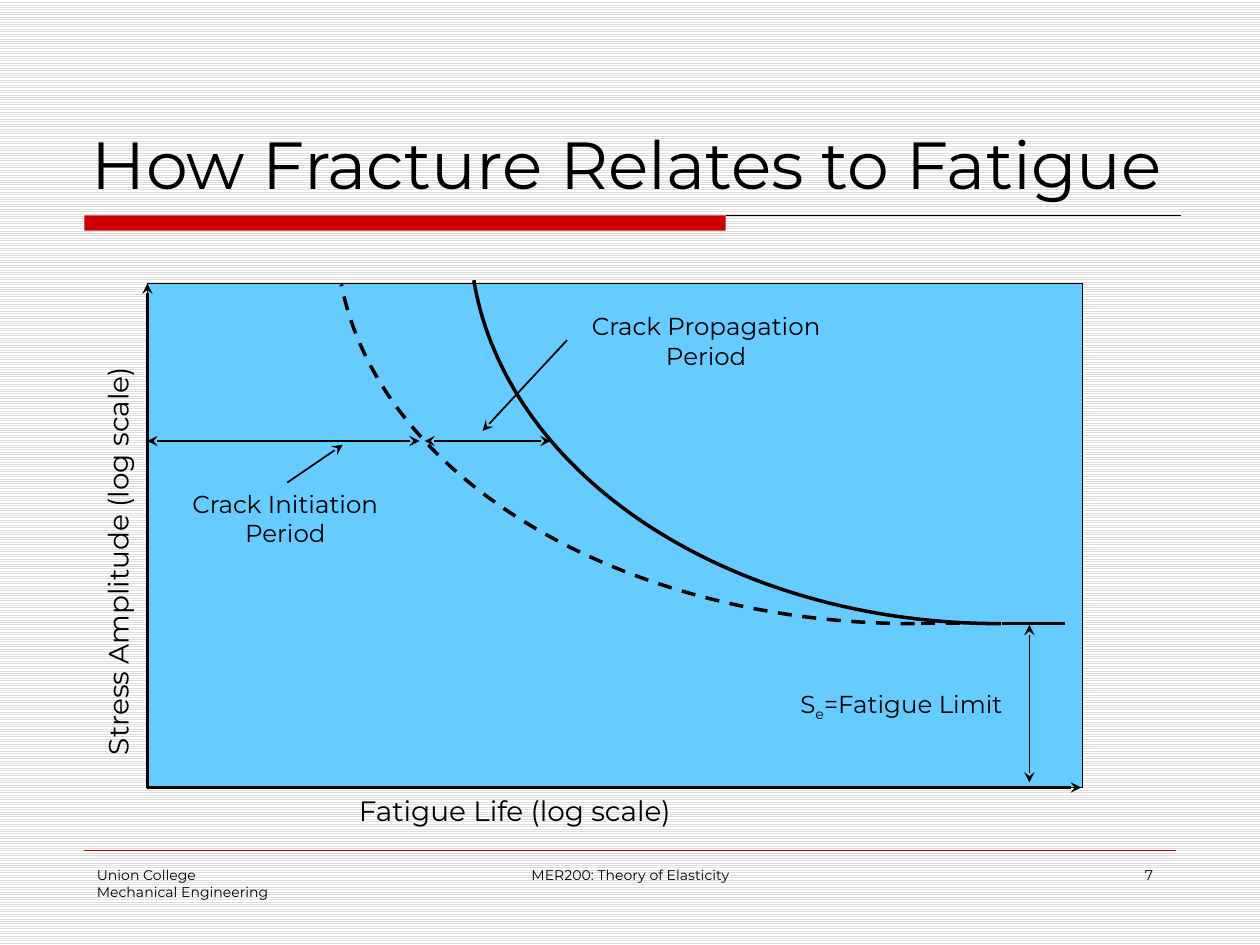
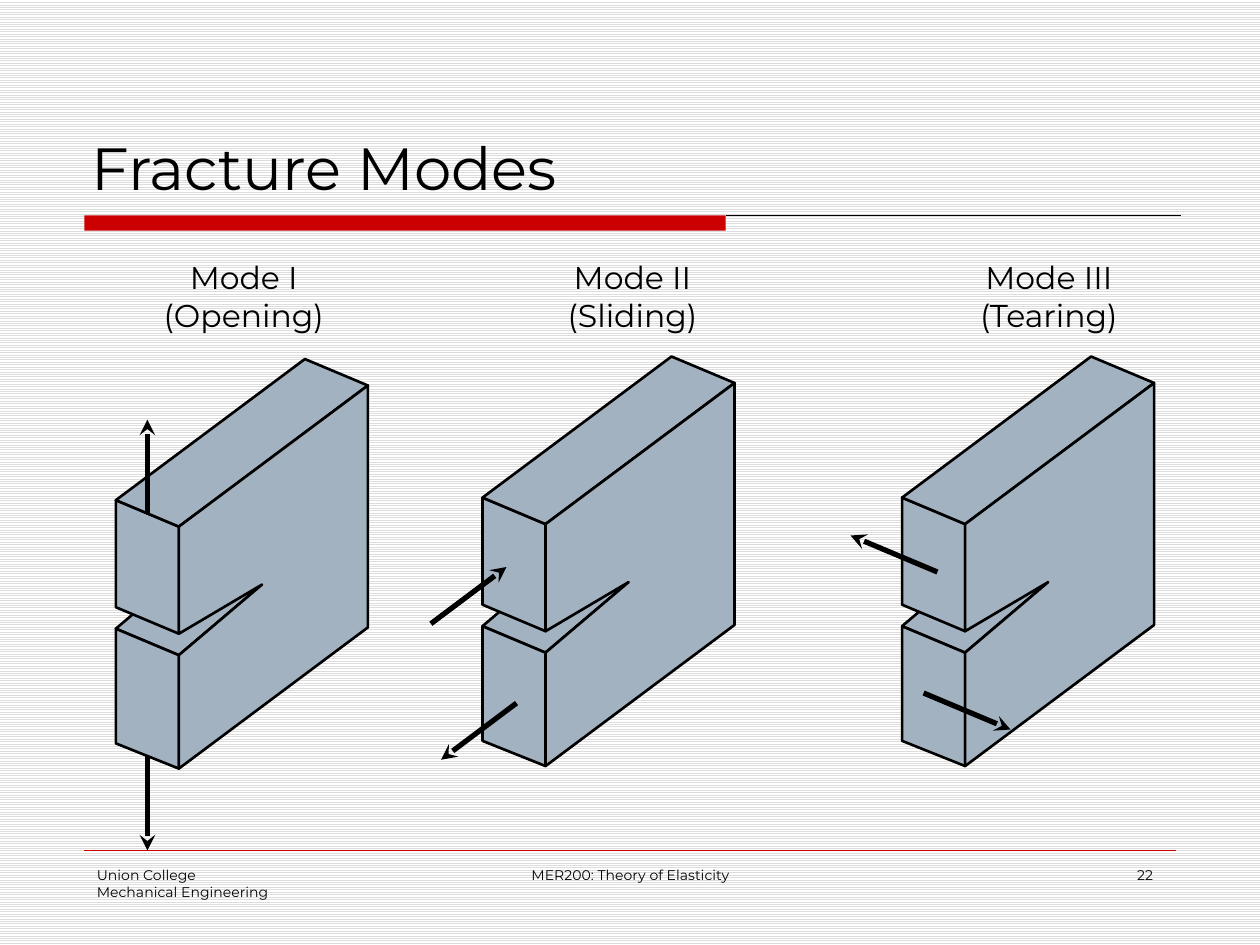
from dataclasses import dataclass

from lxml import etree
from pptx import Presentation
from pptx import util as u
from pptx.dml.color import RGBColor
from pptx.enum import dml, shapes, text
from pptx.oxml.ns import qn


@dataclass(frozen=True)
class Theme:
    font: str = "Montserrat"
    ink: RGBColor = RGBColor(0x00, 0x00, 0x00)
    red: RGBColor = RGBColor(0xCC, 0x00, 0x00)
    paper: RGBColor = RGBColor(0xFF, 0xFF, 0xFF)
    stripe: RGBColor = RGBColor(0xDD, 0xDD, 0xDD)
    plot: RGBColor = RGBColor(0x66, 0xCC, 0xFF)
    steel: RGBColor = RGBColor(0xA3, 0xB2, 0xC1)
    footer_size: int = 8
    label_size: int = 14
    axis_size: int = 16
    mode_size: int = 18


theme = Theme()
LEFT, CENTER, RIGHT = text.PP_ALIGN.LEFT, text.PP_ALIGN.CENTER, text.PP_ALIGN.RIGHT


def add_label(slide, box, lines, size, align=CENTER, wrap=False):
    label = slide.shapes.add_textbox(*[u.Inches(v) for v in box])
    frame = label.text_frame
    frame.word_wrap = wrap
    frame.auto_size = (text.MSO_AUTO_SIZE.NONE if wrap
                       else text.MSO_AUTO_SIZE.SHAPE_TO_FIT_TEXT)
    for i, line in enumerate(lines):
        paragraph = frame.paragraphs[0] if i == 0 else frame.add_paragraph()
        paragraph.alignment = align
        for piece in line if isinstance(line, list) else [line]:
            run = paragraph.add_run()
            run.text = piece
            run.font.name = theme.font
            run.font.size = u.Pt(size)
            run.font.color.rgb = theme.ink
    return label


def add_line(slide, start, end, width, ends="", color=theme.ink, dashed=False):
    line = slide.shapes.add_connector(
        shapes.MSO_CONNECTOR.STRAIGHT, *[u.Inches(v) for v in (*start, *end)])
    line.line.color.rgb = color
    line.line.width = u.Pt(width)
    if dashed:
        line.line.dash_style = dml.MSO_LINE.DASH
    properties = line._element.spPr
    for tag in ends.split():
        etree.SubElement(properties.find(qn("a:ln")), qn(f"a:{tag}End"), type="stealth")
    etree.SubElement(properties, qn("a:effectLst"))


deck = Presentation()
deck.slide_width = u.Inches(10)
deck.slide_height = u.Inches(7.5)

for heading, size, number in (
    ("How Fracture Relates to Fatigue", 38, "7"),
    ("Fracture Modes", 34, "22"),
):
    slide = deck.slides.add_slide(deck.slide_layouts[5])
    backdrop = slide.background.fill
    backdrop.patterned()
    backdrop.pattern = dml.MSO_PATTERN.LIGHT_HORIZONTAL
    backdrop.fore_color.rgb = theme.stripe
    backdrop.back_color.rgb = theme.paper

    title = slide.shapes.title
    title.left, title.top = u.Inches(0.63), u.Inches(0.33)
    title.width, title.height = u.Inches(8.75), u.Inches(1.33)
    title.text_frame.word_wrap = True
    title.text_frame.auto_size = text.MSO_AUTO_SIZE.NONE
    title.text_frame.vertical_anchor = text.MSO_ANCHOR.BOTTOM
    title.text_frame.paragraphs[0].alignment = LEFT
    run = title.text_frame.paragraphs[0].add_run()
    run.text = heading
    run.font.name = theme.font
    run.font.size = u.Pt(size)
    run.font.color.rgb = theme.ink

    band = slide.shapes.add_shape(
        shapes.MSO_SHAPE.RECTANGLE,
        u.Inches(0.67), u.Inches(1.71), u.Inches(5.09), u.Inches(0.12))
    band.shadow.inherit = False
    band.fill.solid()
    band.fill.fore_color.rgb = theme.red
    band.line.fill.background()
    add_line(slide, (5.76, 1.71), (9.37, 1.71), 0.75)
    add_line(slide, (0.67, 6.75), (9.33, 6.75), 0.25, color=theme.red)

    for left, width, align, lines in (
        (0.67, 2.08, LEFT, ["Union College", "Mechanical Engineering"]),
        (3.42, 3.17, CENTER, ["MER200: Theory of Elasticity"]),
        (7.17, 2.08, RIGHT, [number]),
    ):
        add_label(slide, (left, 6.83, width, 0.5), lines, theme.footer_size, align, True)

fatigue, modes = deck.slides

plot = fatigue.shapes.add_shape(
    shapes.MSO_SHAPE.RECTANGLE,
    u.Inches(1.17), u.Inches(2.25), u.Inches(7.42), u.Inches(4))
plot.shadow.inherit = False
plot.fill.solid()
plot.fill.fore_color.rgb = theme.plot
plot.line.color.rgb = theme.ink
plot.line.width = u.Pt(0)

for axis_end in ((1.17, 2.25), (8.58, 6.25)):
    add_line(fatigue, (1.17, 6.25), axis_end, 2, "tail")

for left, width, limit_start, dashed in ((2.67, 9.14, 7.31, True), (3.73, 8.39, 7.95, False)):
    curve = fatigue.shapes.add_shape(
        shapes.MSO_SHAPE.ARC,
        u.Inches(left), u.Inches(-1.25), u.Inches(width), u.Inches(6.2))
    curve.adjustments[0] = 53.782
    curve.adjustments[1] = 104.916
    curve.shadow.inherit = False
    curve.fill.background()
    curve.line.color.rgb = theme.ink
    curve.line.width = u.Pt(2)
    if dashed:
        curve.line.dash_style = dml.MSO_LINE.DASH
    add_line(fatigue, (limit_start, 4.95), (limit_start + 0.5, 4.95), 2, dashed=dashed)

stress = add_label(fatigue, (-0.9, 4.07, 3.67, 0.37),
                   ["Stress Amplitude (log scale)"], theme.axis_size, LEFT)
stress.rotation = 270
add_label(fatigue, (2.75, 6.25, 3, 0.37), ["Fatigue Life (log scale)"], theme.axis_size, LEFT)

for start, end, width, ends in (
    ((1.17, 3.5), (3.33, 3.5), 1.5, "head tail"),
    ((3.37, 3.5), (4.37, 3.5), 1.5, "head tail"),
    ((2.28, 3.83), (2.72, 3.53), 1, "tail"),
    ((4.5, 2.7), (3.83, 3.42), 1, "tail"),
    ((8.17, 4.96), (8.17, 6.21), 1, "head tail"),
):
    add_line(fatigue, start, end, width, ends)

add_label(fatigue, (1.33, 3.83, 1.87, 0.57), ["Crack Initiation", "Period"], theme.label_size)
add_label(fatigue, (4.5, 2.42, 2.21, 0.57), ["Crack Propagation", "Period"], theme.label_size)
limit = add_label(fatigue, (6.17, 5.42, 1.97, 0.34),
                  [["S", "e", "=Fatigue Limit"]], theme.label_size)
subscript = limit.text_frame.paragraphs[0].runs[1]
subscript._r.get_or_add_rPr().set("baseline", "-25000")

top_left, top_front, top_right, top_back = (0, 1.12), (0.5, 1.33), (2, 0.21), (1.5, 0)
lip_left, lip_front = (0, 1.97), (0.5, 2.18)
floor_left, floor_front = (0, 2.14), (0.5, 2.35)
crack_tip, crack_back = (1.16, 1.79), (0.66, 1.58)
base_left, base_front, base_right = (0, 3.05), (0.5, 3.25), (2, 2.13)
block_faces = (
    (floor_left, floor_front, crack_tip, crack_back),
    (base_left, base_front, floor_front, floor_left),
    (lip_front, top_front, top_left, lip_left),
    (top_front, top_right, top_back, top_left),
    (lip_front, top_front, top_right, base_right, base_front, floor_front, crack_tip),
)

for x, y in ((0.92, 2.85), (3.83, 2.83), (7.16, 2.83)):
    block = []
    for face in block_faces:
        corners = [(u.Inches(x + dx), u.Inches(y + dy)) for dx, dy in face]
        outline = modes.shapes.build_freeform(*corners[0])
        outline.add_line_segments(corners[1:], close=True)
        side = outline.convert_to_shape()
        side.shadow.inherit = False
        side.fill.solid()
        side.fill.fore_color.rgb = theme.steel
        side.line.color.rgb = theme.ink
        side.line.width = u.Pt(1.5)
        block.append(side)
    modes.shapes.add_group_shape(block)

for start, end in (
    ((1.17, 4.08), (1.17, 3.33)),
    ((1.17, 6), (1.17, 6.75)),
    ((4.1, 5.58), (3.5, 6.03)),
    ((3.42, 4.95), (4.02, 4.5)),
    ((7.44, 4.54), (6.75, 4.25)),
    ((7.33, 5.5), (8.02, 5.79)),
):
    add_line(modes, start, end, 3, "tail")

for left, width, name, motion in (
    (1.17, 1.53, "Mode I", "(Opening)"),
    (4.35, 1.34, "Mode II", "(Sliding)"),
    (7.61, 1.43, "Mode III", "(Tearing)"),
):
    add_label(modes, (left, 2, width, 0.71), [name, motion], theme.mode_size)

deck.save("out.pptx")
